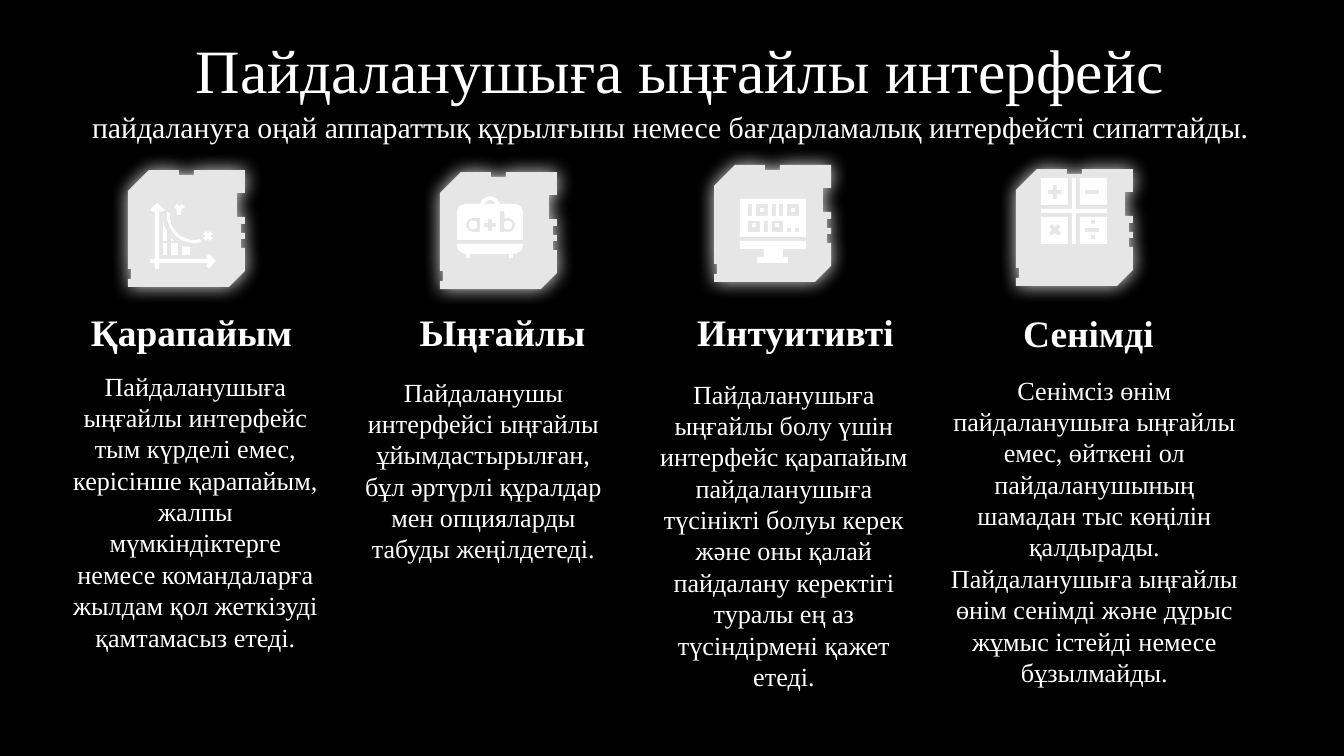
import math
from dataclasses import dataclass

from lxml import etree
from pptx import Presentation
from pptx import util as u
from pptx.dml.color import RGBColor
from pptx.enum import text
from pptx.oxml.ns import qn

SCALE = u.Inches(1) / 134.4
FONT = "Times New Roman"
COLORS = {"back": "000000", "ink": "FFFFFF", "tile": "E7E6E6"}
GLOW_RADIUS = u.Pt(10.1)
INSET = 13

TILE = [(21, 0), (0, 21), (0, 99), (3, 99), (3, 109), (0, 109), (0, 117), (101, 117),
        (117, 101), (117, 78), (113, 78), (113, 69), (117, 69), (117, 63), (113, 63),
        (113, 54), (117, 54), (117, 47), (109, 47), (109, 23), (117, 23), (117, 0),
        (66, 0), (66, 5), (51, 5), (51, 0)]


@dataclass
class Feature:
    """One column: a tile with an icon, a heading and a description."""
    tile: tuple
    icon: tuple
    draw: object
    heading_at: tuple
    heading: str
    body_at: tuple
    body: str


def px(length):
    """Turn px into EMU."""
    return u.Emu(round(length * SCALE))


def color(name):
    """Look up a named colour."""
    return RGBColor.from_string(COLORS[name])


def rect(x, y, width, height):
    """Return the corners of a rectangle."""
    return [(x, y), (x, y + height), (x + width, y + height), (x + width, y)]


def arc(x, y, radius, start, end, steps=16):
    """Return points along an arc, with angles in degrees."""
    angles = [math.radians(start + (end - start) * i / steps) for i in range(steps + 1)]
    return [(round(x + radius * math.cos(a)), round(y + radius * math.sin(a))) for a in angles]


def turned(x, y, quarter):
    """Repeat a quarter outline four times around a centre."""
    points = []
    for _ in range(4):
        points += [(x + dx, y + dy) for dx, dy in quarter]
        quarter = [(-dy, dx) for dx, dy in quarter]
    return points


def plus(x, y, arm, half):
    """Return the outline of a plus sign."""
    return turned(x, y, [(-half, -arm), (half, -arm), (half, -half)])


def times(x, y, reach, notch):
    """Return the outline of a multiplication sign."""
    return turned(x, y, [(notch, -reach), (reach, -notch), (notch, 0)])


def graph_icon():
    """Return the shapes of a graph with axes, bars and a curve."""
    axes = [(7, 0), (0, 7), (3, 9), (5, 8), (5, 56), (0, 56), (0, 60), (5, 60), (5, 66),
            (9, 66), (9, 60), (58, 60), (56, 63), (59, 66), (66, 58), (59, 51), (56, 54),
            (58, 56), (9, 56), (9, 8), (11, 9), (15, 7)]
    curve = arc(44, 13, 27, 188, 76) + arc(44, 13, 24, 76, 188)
    corner = [(21, 35), (21, 38), (24, 38)]
    tall_bar = [(13, 16), (13, 38), (17, 38), (17, 28), (14, 22)]
    last_bar = [(32, 43), (32, 52), (40, 52), (40, 44)]
    letter = [(27, 1), (24, 4), (27, 7), (27, 12), (31, 12), (31, 7), (35, 4), (32, 1), (30, 3)]
    return [[axes], [curve], [corner], [tall_bar], [rect(13, 40, 4, 12)],
            [rect(21, 40, 7, 12)], [last_bar], [times(58, 33, 5, 2)], [letter]]


def case_icon():
    """Return the shapes of a case with a sum on it."""
    base = [(0, 48), (0, 50), (2, 55), (8, 58), (9, 58), (9, 62), (13, 62), (13, 58),
            (52, 58), (52, 62), (56, 62), (56, 58), (58, 58), (64, 55), (66, 50), (66, 48)]
    handle = [(27, 8), (30, 5), (33, 4), (36, 5), (39, 8)]
    letter_a = [(19, 22), (23, 22), (23, 36), (19, 36)] + arc(16, 29, 7, 75, 285)
    letter_b = [(43, 36), (43, 15), (47, 15)] + arc(51, 29, 7, -120, 120) + [(47, 36)]
    body = [(33, 0), (26, 3), (23, 8), (8, 8), (2, 10), (0, 16), (0, 44), (66, 44),
            (66, 16), (64, 10), (58, 8), (43, 8), (40, 3)]
    bowls = [[arc(x, 29, 4, 0, 360)] for x in (16, 51)]
    return [*bowls, [base], [handle, plus(33, 29, 6, 2), letter_a, letter_b, body]]


def screen_icon():
    """Return the shapes of a monitor showing binary digits."""
    dots = [[rect(x, y, 4, 4)] for x, y in ((20, 9), (51, 9), (12, 24), (35, 24))]
    stand = [(0, 42), (0, 50), (24, 50), (24, 58), (17, 58), (17, 64), (48, 64),
             (48, 58), (43, 58), (43, 50), (66, 50), (66, 42)]
    upper = [rect(x, 5, w, 12) for x, w in ((8, 4), (16, 12), (32, 4), (39, 4), (47, 12))]
    lower = [rect(x, 22, w, 11) for x, w in ((8, 12), (24, 4), (32, 11))]
    points = [rect(x, 29, 4, 4) for x in (47, 55)]
    return [*dots, [stand], upper + lower + points + [rect(0, 0, 66, 38)]]


def sums_icon():
    """Return the shapes of the four signs of arithmetic."""
    minus = rect(44, 12, 14, 4)
    divide = [rect(50, 42, 4, 4), rect(44, 50, 14, 4), rect(50, 57, 4, 4)]
    return [[plus(14, 14, 7, 2), rect(0, 0, 27, 27)], [plus(33, 33, 33, 2)],
            [minus, rect(39, 0, 27, 27)], [times(14, 52, 6, 3), rect(0, 39, 27, 27)],
            [*divide, rect(39, 39, 27, 27)]]


def add_outline(shapes, origin, contours, fill):
    """Draw one filled shape from closed contours."""
    builder = shapes.build_freeform(*contours[0][0], scale=SCALE)
    builder.add_line_segments(contours[0][1:])
    for contour in contours[1:]:
        builder.move_to(*contour[0])
        builder.add_line_segments(contour[1:])
    shape = builder.convert_to_shape(px(origin[0]), px(origin[1]))
    shape.shadow.inherit = False
    shape.fill.solid()
    shape.fill.fore_color.rgb = color(fill)
    shape.line.fill.background()
    return shape


def add_tile(slide, origin):
    """Draw a notched tile with a soft glow."""
    tile = add_outline(slide.shapes, origin, [TILE], "tile")
    effects = tile.element.spPr.find(qn("a:effectLst"))
    glow = etree.SubElement(effects, qn("a:outerShdw"), blurRad=str(GLOW_RADIUS),
                            dist="0", dir="0", algn="ctr", rotWithShape="0")
    etree.SubElement(glow, qn("a:srgbClr"), val=COLORS["tile"])


def add_icon(slide, origin, shapes):
    """Draw an icon as one group."""
    group = slide.shapes.add_group_shape()
    for contours in shapes:
        add_outline(group.shapes, origin, contours, "ink")


def add_text(slide, area, words, size, bold=False, align=text.PP_ALIGN.CENTER,
             anchor=text.MSO_ANCHOR.TOP, top=0, spacing=1.0):
    """Place a box with one paragraph."""
    box = slide.shapes.add_textbox(*map(px, area))
    frame = box.text_frame
    frame.word_wrap = True
    frame.vertical_anchor = anchor
    frame.margin_left = frame.margin_right = px(INSET)
    frame.margin_top = frame.margin_bottom = px(top)
    para = frame.paragraphs[0]
    para.alignment = align
    para.line_spacing = spacing
    span = para.add_run()
    span.text = words
    span.font.name = FONT
    span.font.size = u.Pt(size)
    span.font.bold = bold
    span.font.color.rgb = color("ink")


FEATURES = [
    Feature((128, 170), (150, 203), graph_icon, (56, 309, 271, 56), "Қарапайым",
            (60, 370, 271, 116),
            "Пайдаланушыға ыңғайлы интерфейс тым күрделі емес, керісінше қарапайым, жалпы "
            "мүмкіндіктерге немесе командаларға жылдам қол жеткізуді қамтамасыз етеді."),
    Feature((440, 172), (457, 196), case_icon, (367, 309, 271, 56), "Ыңғайлы",
            (348, 376, 271, 116),
            "Пайдаланушы интерфейсі ыңғайлы ұйымдастырылған, бұл әртүрлі құралдар мен "
            "опцияларды табуды жеңілдетеді."),
    Feature((714, 165), (740, 199), screen_icon, (660, 309, 271, 56), "Интуитивті",
            (636, 378, 296, 116),
            "Пайдаланушыға ыңғайлы болу үшін интерфейс қарапайым пайдаланушыға түсінікті "
            "болуы керек және оны қалай пайдалану керектігі туралы ең аз түсіндірмені "
            "қажет етеді."),
    Feature((1016, 169), (1041, 178), sums_icon, (953, 310, 271, 56), "Сенімді",
            (929, 374, 331, 116),
            "Сенімсіз өнім пайдаланушыға ыңғайлы емес, өйткені ол пайдаланушының шамадан "
            "тыс көңілін қалдырады. Пайдаланушыға ыңғайлы өнім сенімді және дұрыс жұмыс "
            "істейді немесе бұзылмайды."),
]


def main():
    """Build the slide and save it."""
    deck = Presentation()
    deck.slide_width, deck.slide_height = px(1344), px(756)
    slide = deck.slides.add_slide(deck.slide_layouts[6])
    slide.background.fill.solid()
    slide.background.fill.fore_color.rgb = color("back")
    for feature in FEATURES:
        add_tile(slide, feature.tile)
    add_text(slide, (113, 39, 1134, 70), "Пайдаланушыға ыңғайлы интерфейс", 33,
             anchor=text.MSO_ANCHOR.MIDDLE, top=INSET, spacing=0.9)
    for feature in FEATURES:
        add_text(slide, feature.heading_at, feature.heading, 20, bold=True)
        add_text(slide, feature.body_at, feature.body, 14)
        add_icon(slide, feature.icon, feature.draw())
    add_text(slide, (79, 102, 1196, 50),
             "пайдалануға оңай аппараттық құрылғыны немесе бағдарламалық интерфейсті "
             "сипаттайды.", 16, align=text.PP_ALIGN.LEFT, top=7)
    deck.save("out.pptx")


if __name__ == "__main__":
    main()
